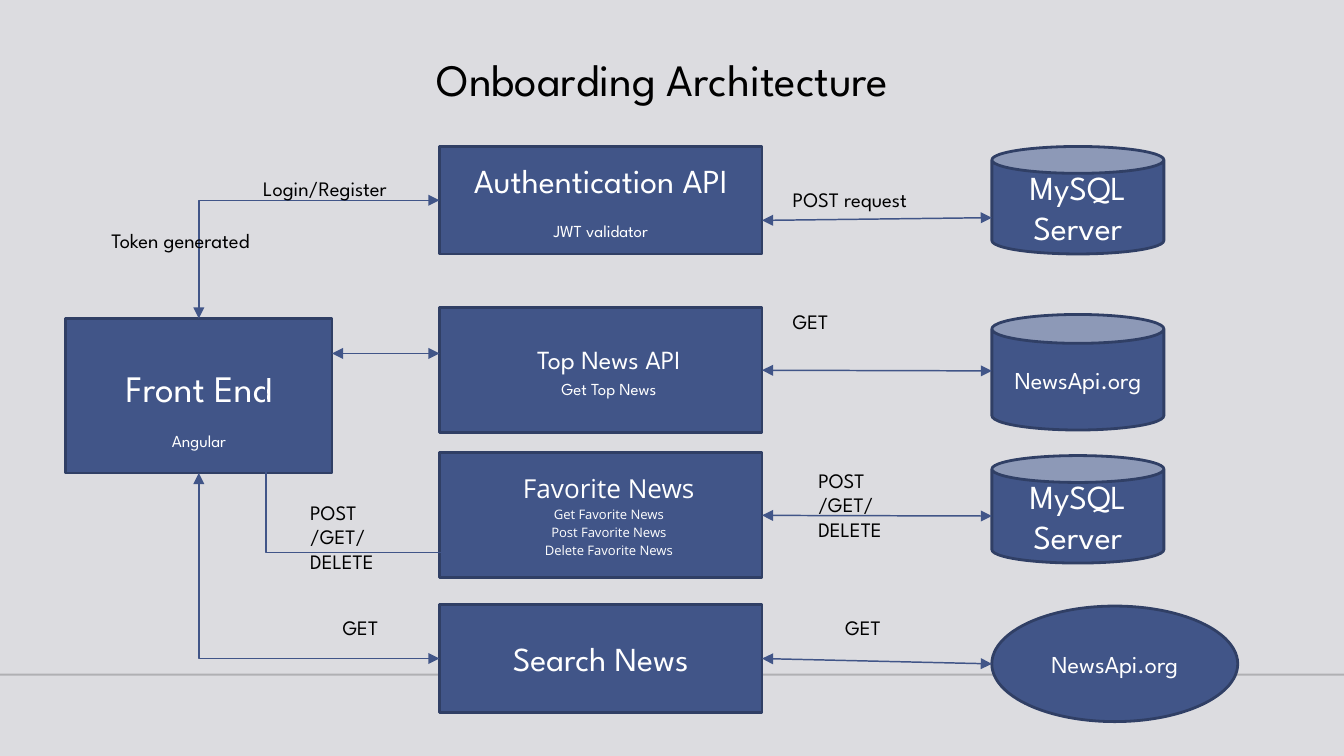
"""Builds the Onboarding Architecture slide."""
from lxml import etree
from pptx import Presentation
from pptx.dml.color import RGBColor
from pptx.enum.shapes import MSO_CONNECTOR, MSO_SHAPE
from pptx.enum.text import MSO_ANCHOR, MSO_AUTO_SIZE, PP_ALIGN
from pptx.oxml.ns import qn
from pptx.util import Inches, Pt

RECT, CAN, OVAL = MSO_SHAPE.RECTANGLE, MSO_SHAPE.CAN, MSO_SHAPE.OVAL
STRAIGHT, ELBOW = MSO_CONNECTOR.STRAIGHT, MSO_CONNECTOR.ELBOW
CENTER, LEFT = PP_ALIGN.CENTER, PP_ALIGN.LEFT
TOP, MIDDLE, BOTTOM = MSO_ANCHOR.TOP, MSO_ANCHOR.MIDDLE, MSO_ANCHOR.BOTTOM
NO_FIT = MSO_AUTO_SIZE.NONE

WIDTH = 10
HEIGHT = WIDTH * 9 / 16
BACKGROUND, BACKDROP_END, RULE = "DCDCE0", "DEDEE2", "000001"
BLUE, OUTLINE, WHITE, BLACK = "415588", "303F65", "FFFFFF", "000000"
SPARTAN, OPEN_SANS = "League Spartan", "Open Sans"

API_LEFT, API_WIDTH = 3.27, 2.4
API_RIGHT = API_LEFT + API_WIDTH
STORE_LEFT, STORE_WIDTH = 7.38, 1.28
FRONT_LEFT, FRONT_TOP, FRONT_WIDTH, FRONT_HEIGHT = 0.49, 2.37, 1.98, 1.15
FRONT_MIDDLE = FRONT_LEFT + FRONT_WIDTH / 2
FRONT_BOTTOM = FRONT_TOP + FRONT_HEIGHT

TITLE = "Onboarding Architecture"
TOP_NEWS = [("Top News API", 14, 0), ("Get Top News", 9, 0)]
FRONT_END = [("Front End", 20, 0), ("Angular", 9, 10.8)]
AUTHENTICATION = [("Authentication API", 18, 0), ("JWT validator", 9, 10.8)]
FAVORITES = [("Favorite News", 14, 0), ("Get Favorite News", 7, 0),
             ("Post Favorite News", 7, 0), ("Delete Favorite News", 7, 0)]
SEARCH = [("Search News", 18, 0)]
DATABASE = [("MySQL Server", 18, 0)]
NEWS_SOURCE = [("NewsApi.org", 13, 0)]

STORES = [
    (CAN, 1.09, STORE_WIDTH, 0.8, DATABASE),
    (CAN, 2.34, STORE_WIDTH, 0.86, NEWS_SOURCE),
    (CAN, 3.39, STORE_WIDTH, 0.8, DATABASE),
    (OVAL, 4.51, 1.83, 0.86, NEWS_SOURCE),
]
METHODS = ["POST\n/GET/", "DELETE"]
LABELS = [
    (5.8, 1.34, 1.28, 0.29, ["POST request"]),
    (5.8, 2.25, 0.56, 0.29, ["GET"]),
    (6.19, 4.53, 0.56, 0.29, ["GET"]),
    (1.86, 1.26, 1.28, 0.29, ["Login/Register"]),
    (0.73, 1.65, 1.28, 0.47, ["Token generated"]),
    (2.21, 3.67, 0.9, 0.66, METHODS),
    (2.45, 4.53, 1.28, 0.29, ["GET"]),
    (5.99, 3.43, 0.9, 0.66, METHODS),
]
FREE_ARROWS = [
    (STRAIGHT, API_RIGHT, 1.64, STORE_LEFT, 1.62),
    (STRAIGHT, FRONT_LEFT + FRONT_WIDTH, 2.63, API_LEFT, 2.63),
    (ELBOW, API_LEFT, 1.49, FRONT_MIDDLE, FRONT_TOP),
    (ELBOW, API_LEFT, 4.9, FRONT_MIDDLE, FRONT_BOTTOM),
    (ELBOW, API_LEFT + 0.5, 4.11, FRONT_MIDDLE + 0.5, 2.73),
]


def rgb(value):
    """Turn a hex string into a colour."""
    return RGBColor.from_string(value)


def write(frame, rows, color, align=CENTER, anchor=MIDDLE, font=SPARTAN,
          spacing=1.0, indent=None):
    """Fill a text frame with (text, size, space before) rows."""
    frame.word_wrap = True
    frame.auto_size = NO_FIT
    frame.vertical_anchor = anchor
    for index, (text, size, before) in enumerate(rows):
        paragraph = frame.add_paragraph() if index else frame.paragraphs[0]
        if indent is not None:
            properties = paragraph._p.get_or_add_pPr()
            properties.set("marL", str(Inches(indent)))
            properties.set("indent", "0")
            etree.SubElement(properties, qn("a:buNone"))
        paragraph.alignment = align
        paragraph.line_spacing = spacing
        paragraph.space_before = Pt(before)
        for number, line in enumerate(text.split("\n")):
            if number:
                paragraph.add_line_break()
            run = paragraph.add_run()
            run.text = line
            run.font.name = font
            run.font.size = Pt(size)
            run.font.color.rgb = rgb(color)


def inset(frame, x, y):
    """Set the side and the top and bottom margins of a frame."""
    frame.margin_left = frame.margin_right = Inches(x)
    frame.margin_top = frame.margin_bottom = Inches(y)


def place(shape, left, top, width, height):
    """Move and size a shape in inches."""
    shape.left, shape.top = Inches(left), Inches(top)
    shape.width, shape.height = Inches(width), Inches(height)


def paint(shape):
    """Give a node its blue fill and dark outline."""
    shape.fill.solid()
    shape.fill.fore_color.rgb = rgb(BLUE)
    shape.line.color.rgb = rgb(OUTLINE)
    shape.line.width = Pt(1.5)


def add_node(slide, kind, left, top, width, height, rows, **style):
    """Draw one labelled node."""
    node = slide.shapes.add_shape(kind, *map(Inches, (left, top, width, height)))
    node.shadow.inherit = False
    paint(node)
    write(node.text_frame, rows, WHITE, **style)
    return node


def add_line(slide, kind, x1, y1, x2, y2, color, weight):
    """Draw a connector without a shadow."""
    line = slide.shapes.add_connector(kind, *map(Inches, (x1, y1, x2, y2)))
    line.line.color.rgb = rgb(color)
    line.line.width = Pt(weight)
    etree.SubElement(line._element.spPr, qn("a:effectLst"))
    return line


def add_arrow(slide, kind, x1, y1, x2, y2):
    """Draw a two-headed arrow; elbows run sideways first."""
    arrow = add_line(slide, kind, x1, y1, x2, y2, BLUE, 0.79)
    for end in ("a:headEnd", "a:tailEnd"):
        etree.SubElement(arrow.line._get_or_add_ln(), qn(end), type="triangle")
    if kind == ELBOW:
        arrow._element.spPr.find(qn("a:prstGeom")).set("prst", "bentConnector2")
    return arrow


def add_backdrop(slide):
    """Draw the backdrop band and its rule behind everything else."""
    band = slide.shapes.add_shape(RECT, *map(Inches, (0, 0.38, WIDTH, 4.63)))
    band.shadow.inherit = False
    band.line.fill.background()
    band.fill.gradient()
    band.fill.gradient_angle = 270
    for stop, color in zip(band.fill.gradient_stops, (BACKGROUND, BACKDROP_END)):
        stop.color.rgb = rgb(color)
    rule = add_line(slide, STRAIGHT, 0, 5.02, WIDTH, 5.02, RULE, 1)
    tint = rule._element.spPr.find(".//" + qn("a:srgbClr"))
    etree.SubElement(tint, qn("a:alpha"), val="20000")
    for position, part in enumerate((band, rule), 2):
        slide.shapes._spTree.insert(position, part._element)


def main():
    """Build and save the slide."""
    deck = Presentation()
    deck.slide_width, deck.slide_height = Inches(WIDTH), Inches(HEIGHT)
    slide = deck.slides.add_slide(deck.slide_layouts[1])
    slide.background.fill.solid()
    slide.background.fill.fore_color.rgb = rgb(BACKGROUND)
    add_backdrop(slide)

    title, top_news = slide.placeholders
    place(title, 0.27, -0.02, 9.32, 0.91)
    inset(title.text_frame, 0.1, 0.1)
    write(title.text_frame, [(TITLE, 24, 0)], BLACK, anchor=BOTTOM, spacing=0.9)
    place(top_news, API_LEFT, 2.29, API_WIDTH, 0.93)
    paint(top_news)
    inset(top_news.text_frame, 0.1, 0.1)
    write(top_news.text_frame, TOP_NEWS, WHITE, spacing=1.2, indent=0.12)
    top_news.text_frame.margin_bottom = Inches(0.13)

    front_end = add_node(slide, RECT, FRONT_LEFT, FRONT_TOP, FRONT_WIDTH,
                         FRONT_HEIGHT, FRONT_END)
    front_end.text_frame.margin_top = Inches(0.23)
    add_node(slide, RECT, API_LEFT, 1.09, API_WIDTH, 0.8, AUTHENTICATION)
    search = add_node(slide, RECT, API_LEFT, 4.5, API_WIDTH, 0.8, SEARCH)
    favorites = add_node(slide, RECT, API_LEFT, 3.37, API_WIDTH, 0.93, FAVORITES,
                         font=OPEN_SANS, spacing=1.15, indent=0.12)
    inset(favorites.text_frame, 0.1, 0.1)
    favorites.text_frame.margin_bottom = Inches(0.14)
    for kind, top, width, height, rows in STORES:
        add_node(slide, kind, STORE_LEFT, top, width, height, rows)

    for arrow in FREE_ARROWS:
        add_arrow(slide, *arrow)
    for api, store_y in ((top_news, 2.76), (favorites, 3.84), (search, 4.94)):
        arrow = add_arrow(slide, STRAIGHT, API_RIGHT, store_y, STORE_LEFT, store_y)
        arrow.begin_connect(api, 3)

    for left, top, width, height, lines in LABELS:
        label = slide.shapes.add_textbox(*map(Inches, (left, top, width, height)))
        write(label.text_frame, [(line, 11, 0) for line in lines], BLACK, LEFT, TOP)
    deck.save("out.pptx")


if __name__ == "__main__":
    main()
